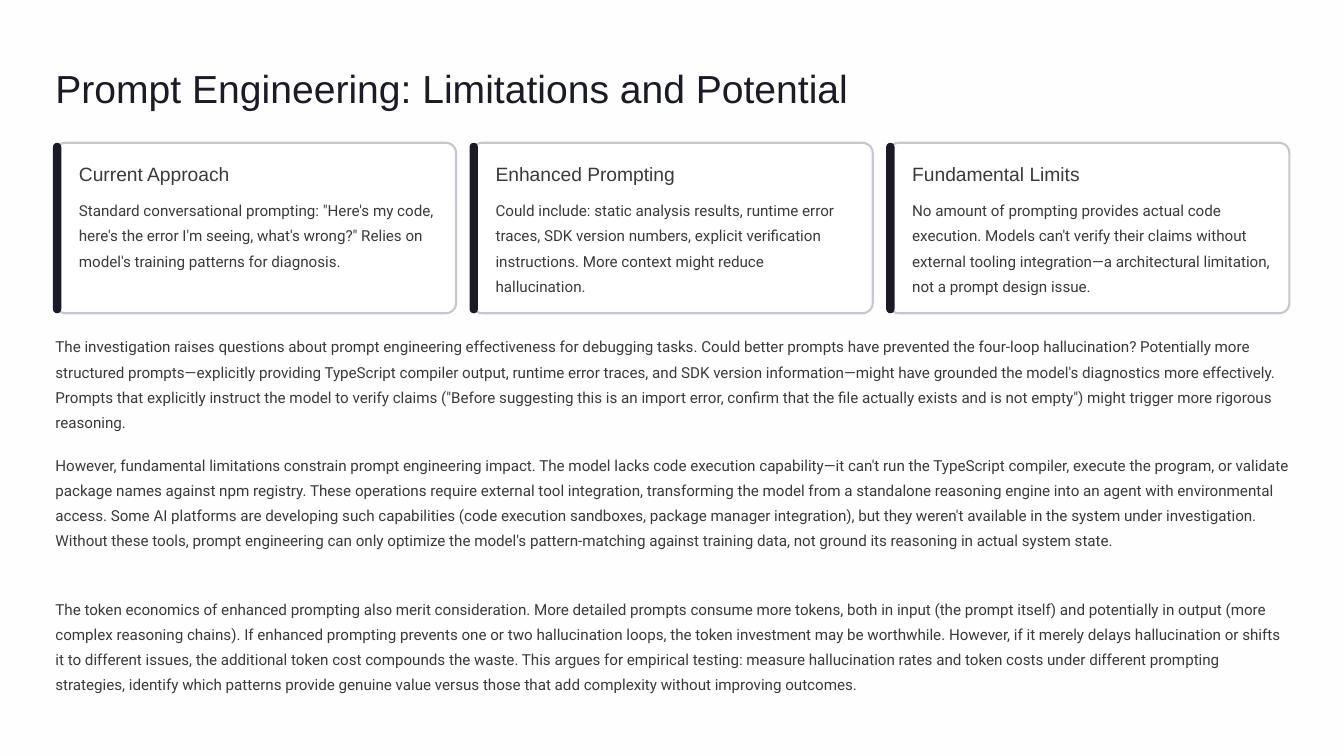
from pptx import Presentation
from pptx.dml.color import RGBColor
from pptx.enum.shapes import MSO_SHAPE
from pptx.util import Emu, Pt

PX = 9144  # 100 px to the inch
INK, BODY, BORDER = "1B1B27", "3C3939", "C7C7D0"

CARDS = [
    ("Current Approach",
     "Standard conversational prompting: \"Here's my code, here's the error I'm seeing, what's wrong?\" "
     "Relies on model's training patterns for diagnosis."),
    ("Enhanced Prompting",
     "Could include: static analysis results, runtime error traces, SDK version numbers, explicit "
     "verification instructions. More context might reduce hallucination."),
    ("Fundamental Limits",
     "No amount of prompting provides actual code execution. Models can't verify their claims without "
     "external tooling integration—a architectural limitation, not a prompt design issue."),
]
CARD_LEFT, CARD_TOP, CARD_WIDTH, CARD_HEIGHT, CARD_PITCH = 66, 170, 477, 203, 496

# Top, height and wording of each full-width passage
PASSAGES = [
    (394, 120,
     "The investigation raises questions about prompt engineering effectiveness for debugging tasks. "
     "Could better prompts have prevented the four-loop hallucination? Potentially more structured "
     "prompts—explicitly providing TypeScript compiler output, runtime error traces, and SDK version "
     "information—might have grounded the model's diagnostics more effectively. Prompts that explicitly "
     "instruct the model to verify claims (\"Before suggesting this is an import error, confirm that the "
     "file actually exists and is not empty\") might trigger more rigorous reasoning."),
    (535, 150,
     "However, fundamental limitations constrain prompt engineering impact. The model lacks code "
     "execution capability—it can't run the TypeScript compiler, execute the program, or validate "
     "package names against npm registry. These operations require external tool integration, "
     "transforming the model from a standalone reasoning engine into an agent with environmental access. "
     "Some AI platforms are developing such capabilities (code execution sandboxes, package manager "
     "integration), but they weren't available in the system under investigation. Without these tools, "
     "prompt engineering can only optimize the model's pattern-matching against training data, not "
     "ground its reasoning in actual system state."),
    (706, 120,
     "The token economics of enhanced prompting also merit consideration. More detailed prompts consume "
     "more tokens, both in input (the prompt itself) and potentially in output (more complex reasoning "
     "chains). If enhanced prompting prevents one or two hallucination loops, the token investment may "
     "be worthwhile. However, if it merely delays hallucination or shifts it to different issues, the "
     "additional token cost compounds the waste. This argues for empirical testing: measure "
     "hallucination rates and token costs under different prompting strategies, identify which patterns "
     "provide genuine value versus those that add complexity without improving outcomes."),
]


def add_text(box, text, size, line_height, font="Roboto", color=BODY, wrap=True):
    """Add a text box without margins; box is left, top, width, height in px."""
    frame = slide.shapes.add_textbox(*[Emu(value * PX) for value in box]).text_frame
    frame.margin_left = frame.margin_top = frame.margin_right = frame.margin_bottom = 0
    frame.word_wrap = wrap
    paragraph = frame.paragraphs[0]
    paragraph.line_spacing = Pt(line_height)
    run = paragraph.add_run()
    run.text = text
    run.font.size = Pt(size)
    run.font.name = font
    run.font.color.rgb = RGBColor.from_string(color)


def add_rounded(box, corner, fill, border=None):
    """Add a rounded rectangle; box is left, top, width, height in px."""
    shape = slide.shapes.add_shape(
        MSO_SHAPE.ROUNDED_RECTANGLE, *[Emu(value * PX) for value in box])
    shape.shadow.inherit = False
    shape.adjustments[0] = corner
    shape.fill.solid()
    shape.fill.fore_color.rgb = RGBColor.from_string(fill)
    if border:
        shape.line.color.rgb = RGBColor.from_string(border)
        shape.line.width = Pt(1.8)
    else:
        shape.line.fill.background()


presentation = Presentation()
presentation.slide_width = Emu(1600 * PX)
presentation.slide_height = Emu(900 * PX)
slide = presentation.slides.add_slide(presentation.slide_layouts[6])
slide.background.fill.solid()
slide.background.fill.fore_color.rgb = RGBColor.from_string("FEFEFE")

add_text((66, 74, 1035, 59), "Prompt Engineering: Limitations and Potential",
         33.5, 42, "Arial", INK, wrap=False)

for index, (heading, description) in enumerate(CARDS):
    left = CARD_LEFT + index * CARD_PITCH
    add_rounded((left, CARD_TOP, CARD_WIDTH, CARD_HEIGHT), 0.06, "FFFFFF", BORDER)
    add_rounded((left - 3, CARD_TOP, 10, CARD_HEIGHT), 0.5, INK)
    add_text((left + 28, 191, 235, 29), heading, 16.5, 21, "Arial", wrap=False)
    add_text((left + 28, 232, 427, 120), description, 13, 21.5)

for top, height, passage in PASSAGES:
    add_text((66, top, 1469, height), passage, 13, 21.5)

presentation.save("out.pptx")
